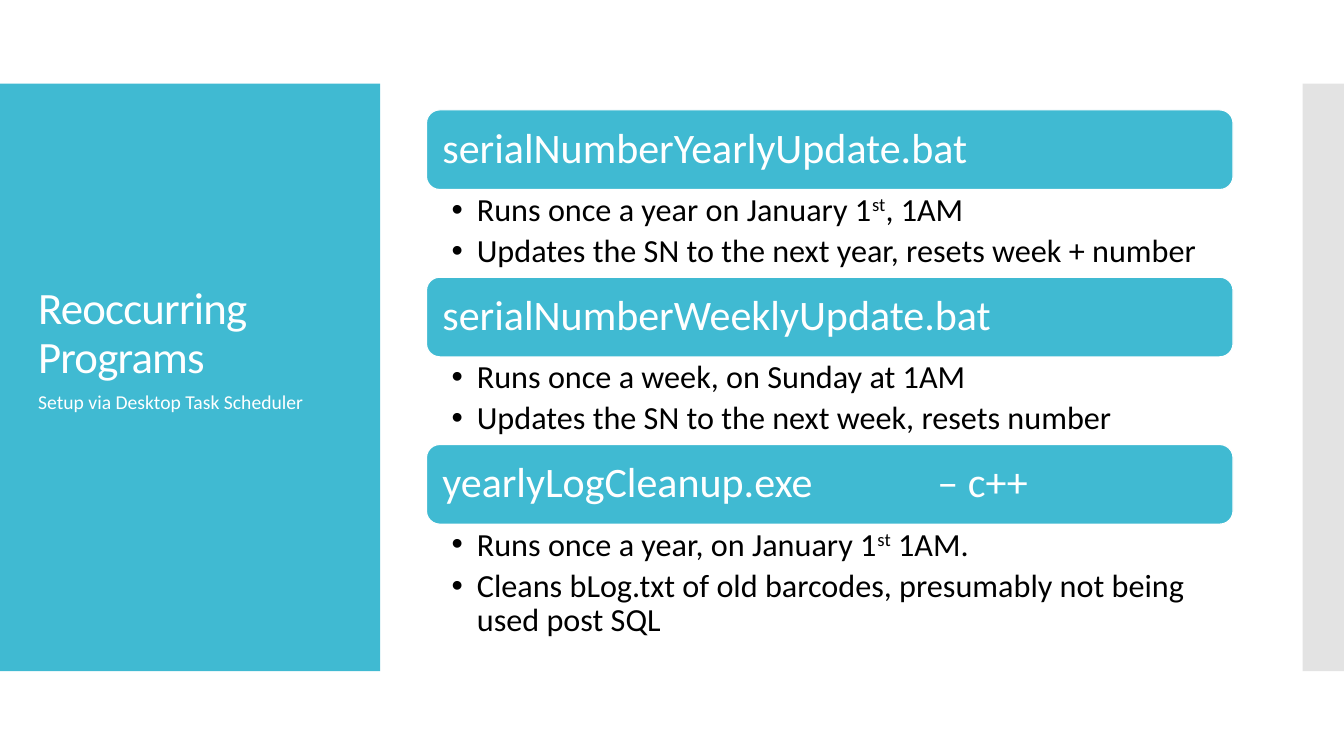
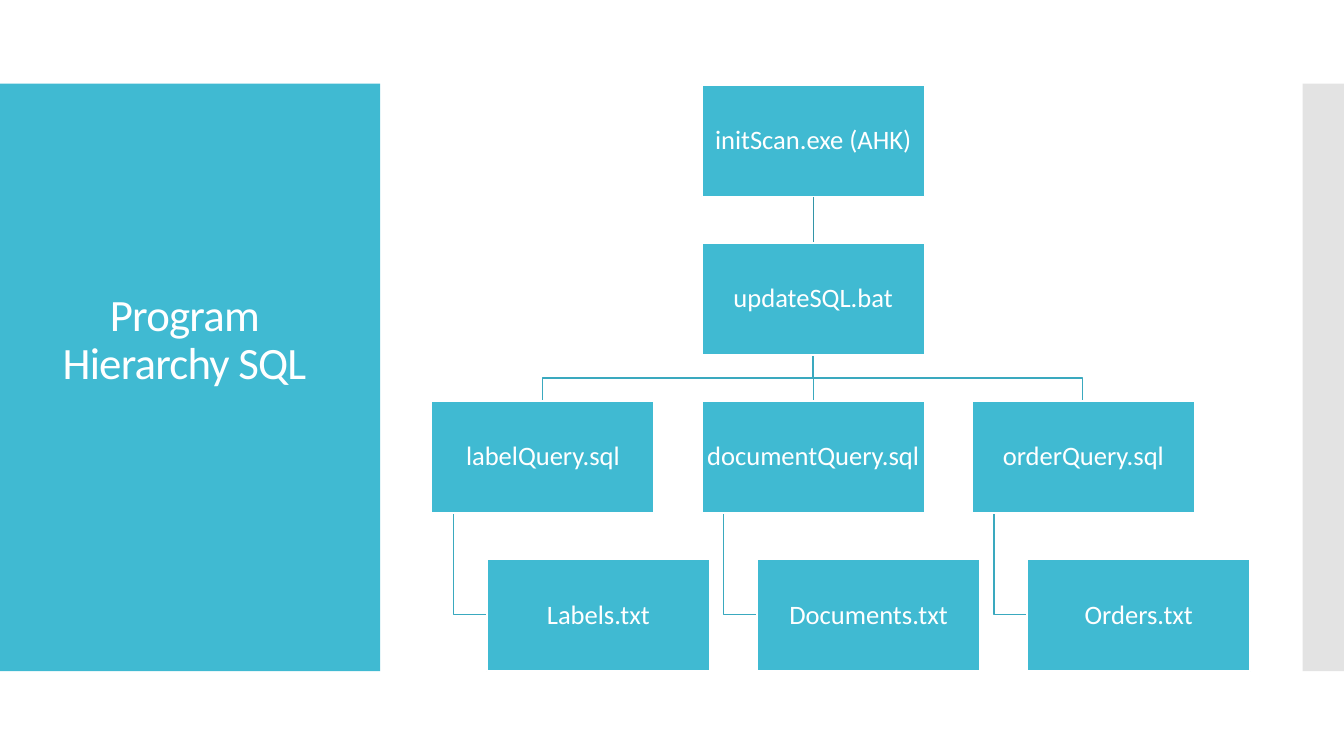
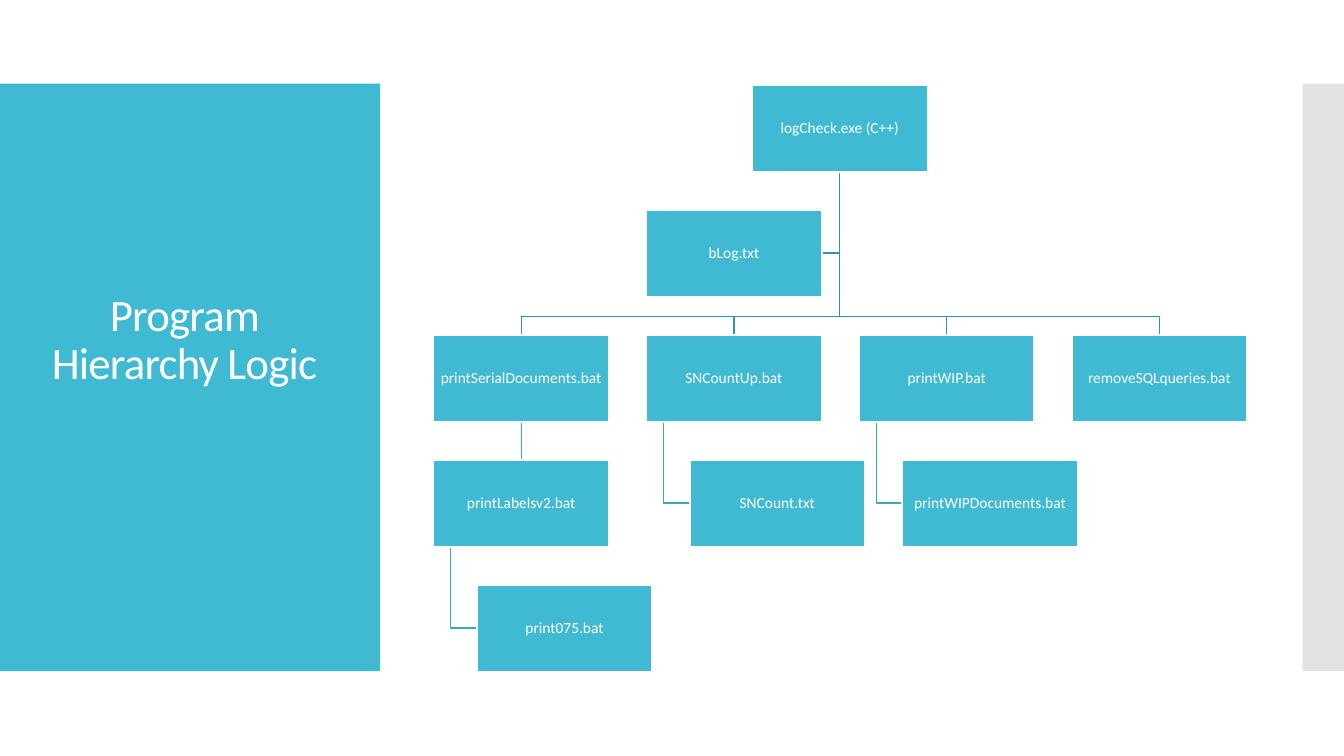
from dataclasses import dataclass

from lxml import etree
from pptx import Presentation
from pptx import util as u
from pptx.dml.color import RGBColor
from pptx.enum import shapes, text
from pptx.oxml import ns

PX = 9144


@dataclass(frozen=True)
class Theme:
    """Colours, font and type sizes of the deck."""
    accent: str = "40BAD2"
    root_line: str = "3395A8"
    branch_line: str = "3AA9BF"
    edge: str = "C8C8C8"
    white: str = "FFFFFF"
    black: str = "000000"
    font: str = "Calibri"
    title: int = 32
    heading: int = 30
    bullet: int = 23
    caption: int = 14


@dataclass(frozen=True)
class Node:
    """A chart box: its grid cell, its parent and how it is linked."""
    label: str
    col: float
    row: int
    parent: str = ""
    link: str = "bus"


@dataclass(frozen=True)
class Grid:
    """Origin, pitch and box size of a hierarchy chart."""
    left: int
    top: int
    dx: int
    dy: int
    w: int
    h: int
    size: int


T = Theme()

PROGRAMS = [
    ("serialNumberYearlyUpdate.bat", 87,
     ["Runs once a year on January 1^st^, 1AM",
      "Updates the SN to the next year, resets week + number"]),
    ("serialNumberWeeklyUpdate.bat", 87,
     ["Runs once a week, on Sunday at 1AM",
      "Updates the SN to the next week, resets number"]),
    ("yearlyLogCleanup.exe\t– c++", 122,
     ["Runs once a year, on January 1^st^ 1AM.",
      "Cleans bLog.txt of old barcodes, presumably not being used post SQL"]),
]

SQL_GRID = Grid(428, 84, 268, 157, 221, 111, 19)
SQL_NODES = [
    Node("initScan.exe (AHK)", 1, 0),
    Node("updateSQL.bat", 1, 1, "initScan.exe (AHK)", "straight"),
    Node("labelQuery.sql", 0, 2, "updateSQL.bat"),
    Node("documentQuery.sql", 1, 2, "updateSQL.bat", "straight"),
    Node("orderQuery.sql", 2, 2, "updateSQL.bat"),
    Node("Labels.txt", 0, 3, "labelQuery.sql", "hang"),
    Node("Documents.txt", 1, 3, "documentQuery.sql", "hang"),
    Node("Orders.txt", 2, 3, "orderQuery.sql", "hang"),
]

LOGIC_GRID = Grid(430, 84, 211, 124, 174, 87, 11)
LOGIC_NODES = [
    Node("logCheck.exe (C++)", 1.5, 0),
    Node("bLog.txt", 1, 1, "logCheck.exe (C++)", "side"),
    Node("printSerialDocuments.bat", 0, 2, "logCheck.exe (C++)"),
    Node("SNCountUp.bat", 1, 2, "logCheck.exe (C++)"),
    Node("printWIP.bat", 2, 2, "logCheck.exe (C++)"),
    Node("removeSQLqueries.bat", 3, 2, "logCheck.exe (C++)"),
    Node("printLabelsv2.bat", 0, 3, "printSerialDocuments.bat", "straight"),
    Node("SNCount.txt", 1, 3, "SNCountUp.bat", "hang"),
    Node("printWIPDocuments.bat", 2, 3, "printWIP.bat", "hang"),
    Node("print075.bat", 0, 4, "printLabelsv2.bat", "hang"),
]


def emu(*lengths):
    """Turn px lengths into EMU."""
    return [u.Emu(n * PX) for n in lengths]


def add_xml(parent, tag, **attrs):
    """Append a drawing element with its attributes."""
    child = etree.SubElement(parent, ns.qn(tag))
    for name, value in attrs.items():
        child.set(name, str(value))
    return child


def add_box(slide, preset, at, fill, line=None, line_pt=0.85):
    """Add a filled preset shape without a shadow."""
    sp = slide.shapes.add_shape(preset, *emu(*at))
    sp.shadow.inherit = False
    sp.fill.solid()
    sp.fill.fore_color.rgb = RGBColor.from_string(fill)
    if line:
        sp.line.color.rgb = RGBColor.from_string(line)
        sp.line.width = u.Pt(line_pt)
    else:
        sp.line.fill.background()
    return sp


def set_frame(sp, anchor, insets):
    """Set wrapping, anchor and insets, and return the text frame."""
    tf = sp.text_frame
    tf.word_wrap = True
    tf.vertical_anchor = anchor
    tf.margin_left, tf.margin_top, tf.margin_right, tf.margin_bottom = emu(*insets)
    return tf


def add_text(p, wording, size, color, align=text.PP_ALIGN.LEFT, spacing=0.9, track=0):
    """Fill a paragraph run by run; parts between carets are superscript."""
    p.alignment = align
    p.line_spacing = spacing
    for i, part in enumerate(wording.split("^")):
        r = p.add_run()
        r.text = part
        r.font.name = T.font
        r.font.size = u.Pt(size)
        r.font.color.rgb = RGBColor.from_string(color)
        if i % 2:
            r.font._element.set("baseline", "30000")
        if track:
            r.font._element.set("spc", str(track))


def add_label(slide, at, anchor, wording, size, **style):
    """Add white text on the side panel."""
    sp = slide.shapes.add_textbox(*emu(*at))
    tf = set_frame(sp, anchor, (10, 5, 10, 5))
    add_text(tf.paragraphs[0], wording, size, T.white, **style)


def add_base(prs, title, bottom, align):
    """Add a slide with the side panel, the right edge and the title."""
    slide = prs.slides.add_slide(prs.slide_layouts[6])
    rect = shapes.MSO_SHAPE.RECTANGLE
    add_box(slide, rect, (0, 83, 377, 583), T.accent)
    edge = add_box(slide, rect, (1292, 83, 42, 583), T.edge)
    color = edge.element.spPr.find(ns.qn("a:solidFill"))[0]
    add_xml(color, "a:alpha", val=50000)
    add_label(slide, (28, 125, 310, bottom - 125), text.MSO_ANCHOR.BOTTOM,
              title, T.title, align=align, track=-60)
    return slide


def add_heading(slide, at, wording):
    """Add a rounded heading bar with a tab stop for a side remark."""
    sp = add_box(slide, shapes.MSO_SHAPE.ROUNDED_RECTANGLE, at, T.accent, T.white)
    tf = set_frame(sp, text.MSO_ANCHOR.MIDDLE, (12, 12, 12, 12))
    p = tf.paragraphs[0]
    add_text(p, wording, T.heading, T.white)
    tabs = add_xml(p._p.get_or_add_pPr(), "a:tabLst")
    add_xml(tabs, "a:tab", pos=491 * PX, algn="l")


def add_bullets(slide, at, items):
    """Add a bulleted list."""
    sp = slide.shapes.add_textbox(*emu(*at))
    tf = set_frame(sp, text.MSO_ANCHOR.TOP, (25, 4, 23, 4))
    for i, item in enumerate(items):
        p = tf.add_paragraph() if i else tf.paragraphs[0]
        add_text(p, item, T.bullet, T.black)
        p.space_after = u.Pt(4.6)
        pPr = p._p.get_or_add_pPr()
        pPr.set("marL", str(25 * PX))
        pPr.set("indent", str(-25 * PX))
        add_xml(pPr, "a:buFont", typeface="Arial")
        add_xml(pPr, "a:buChar", char="•")


def add_straight(slide, start, end):
    """Join the bottom of one box to the top of another."""
    line = slide.shapes.add_connector(shapes.MSO_CONNECTOR.STRAIGHT, 0, 0, 0, 0)
    line.begin_connect(start, 2)
    line.end_connect(end, 0)
    add_xml(line.element.spPr, "a:effectLst")
    return line


def add_bent(slide, points):
    """Draw an open line through px points."""
    builder = slide.shapes.build_freeform(*points[0], scale=PX)
    builder.add_line_segments(points[1:], close=False)
    line = builder.convert_to_shape()
    line.fill.background()
    line.shadow.inherit = False
    return line


def link_points(link, grid, start, end):
    """Work out the corners of a bent link between two box positions."""
    (px, py), (x, y) = start, end
    mid, mid_y, base = px + grid.w // 2, y + grid.h // 2, py + grid.h
    if link == "hang":
        drop = px + grid.w // 10
        return [(drop, base), (drop, mid_y), (x, mid_y)]
    if link == "side":
        return [(mid, base), (mid, mid_y), (x + grid.w, mid_y)]
    bus, child = y - (grid.dy - grid.h) // 2, x + grid.w // 2
    return [(mid, base), (mid, bus), (child, bus), (child, y)]


def add_hierarchy(slide, grid, nodes):
    """Draw the boxes of a hierarchy, with the links behind them."""
    boxes, places = {}, {}
    for n in nodes:
        x = int(grid.left + n.col * grid.dx) + (grid.w // 4 if n.link == "hang" else 0)
        y = grid.top + n.row * grid.dy
        sp = add_box(slide, shapes.MSO_SHAPE.RECTANGLE, (x, y, grid.w, grid.h),
                     T.accent, T.white, 1.35)
        tf = set_frame(sp, text.MSO_ANCHOR.MIDDLE, (1, 1, 1, 1))
        add_text(tf.paragraphs[0], n.label, grid.size, T.white, text.PP_ALIGN.CENTER)
        boxes[n.label], places[n.label] = sp, (x, y)
    root = nodes[0].label
    for n in nodes[1:]:
        if n.link == "straight":
            line = add_straight(slide, boxes[n.parent], boxes[n.label])
        else:
            line = add_bent(slide, link_points(n.link, grid, places[n.parent], places[n.label]))
        color = T.root_line if n.parent == root else T.branch_line
        line.line.color.rgb = RGBColor.from_string(color)
        line.line.width = u.Pt(0.85)
        boxes[root].element.addprevious(line.element)


def add_programs(prs):
    """Build the slide that lists the scheduled programs."""
    slide = add_base(prs, "Reoccurring Programs", 385, text.PP_ALIGN.LEFT)
    add_label(slide, (28, 382, 310, 254), text.MSO_ANCHOR.TOP,
              "Setup via Desktop Task Scheduler", T.caption, spacing=1.0)
    for i, (name, height, items) in enumerate(PROGRAMS):
        top = 109 + 166 * i
        add_heading(slide, (423, top, 800, 79), name)
        add_bullets(slide, (423, top + 79, 800, height), items)


def main():
    """Build and save the deck."""
    prs = Presentation()
    prs.slide_width, prs.slide_height = emu(1333, 750)
    add_programs(prs)
    for title, grid, nodes in [("Program Hierarchy SQL", SQL_GRID, SQL_NODES),
                               ("Program Hierarchy Logic", LOGIC_GRID, LOGIC_NODES)]:
        slide = add_base(prs, title, 391, text.PP_ALIGN.CENTER)
        add_hierarchy(slide, grid, nodes)
    prs.save("out.pptx")


if __name__ == "__main__":
    main()
